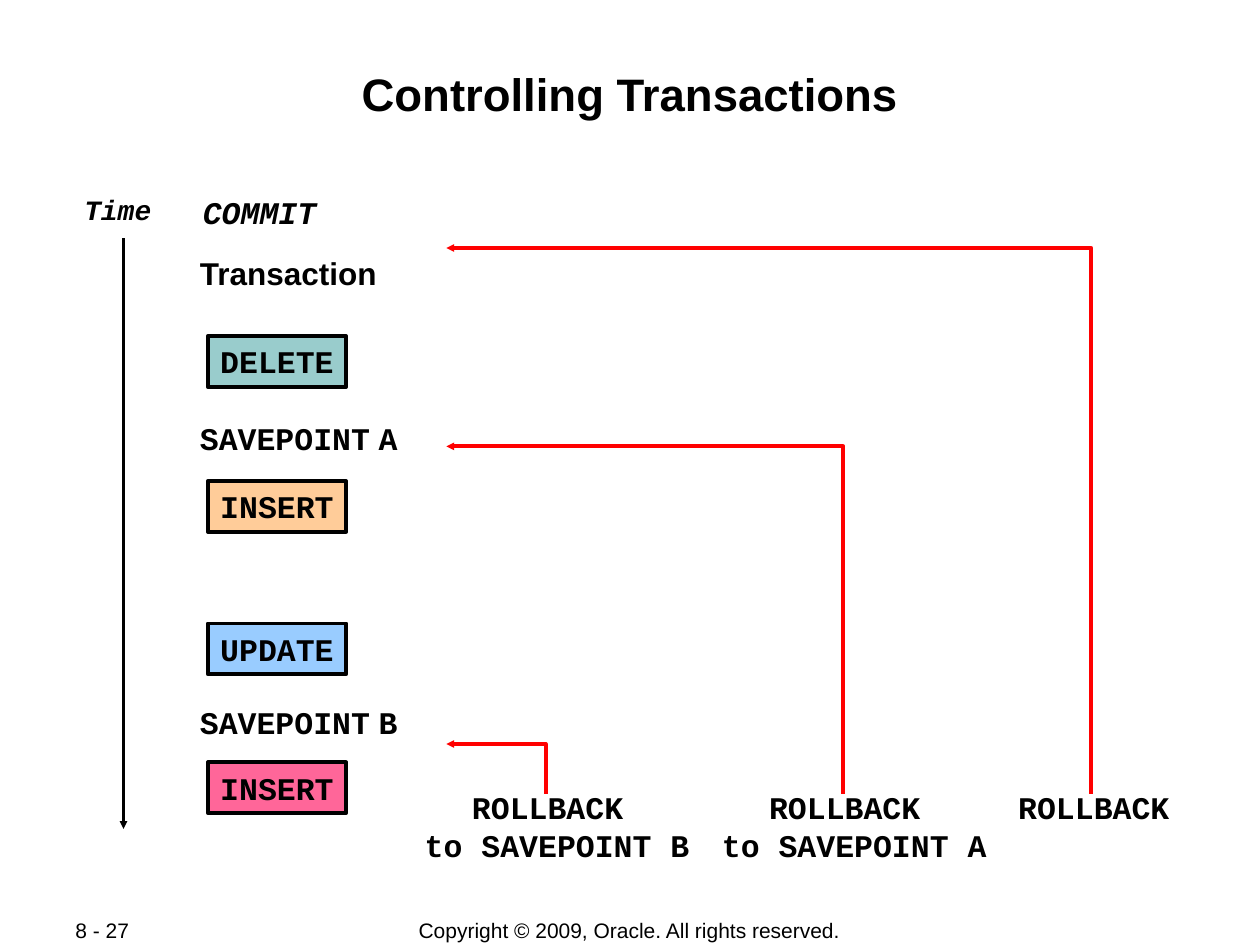
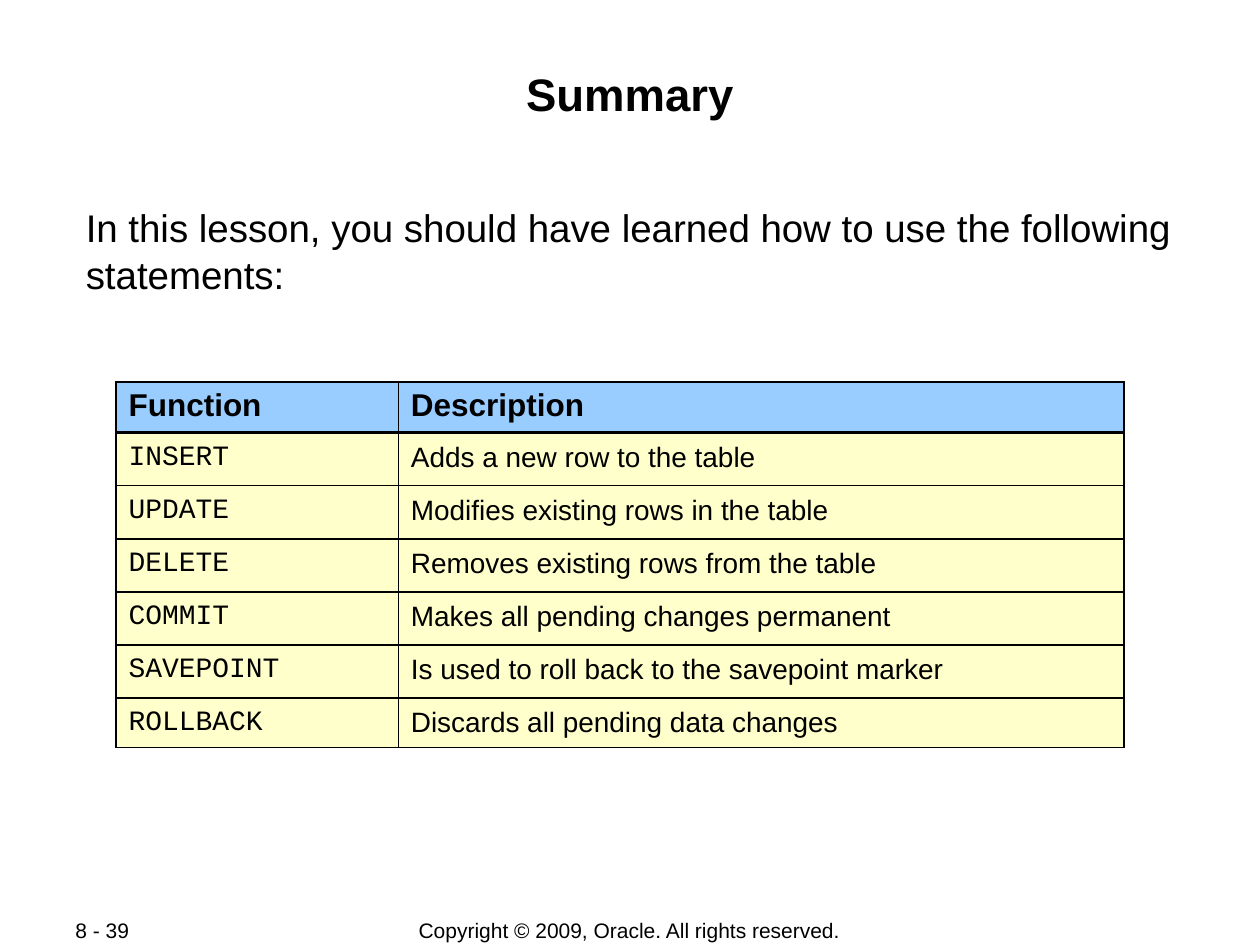
from dataclasses import dataclass

from pptx import Presentation
from pptx.dml.color import RGBColor
from pptx.enum.shapes import MSO_CONNECTOR, MSO_SHAPE
from pptx.enum.text import MSO_ANCHOR, PP_ALIGN
from pptx.oxml import parse_xml
from pptx.oxml.ns import nsdecls, qn
from pptx.util import Cm, Pt

LEFT, CENTER = PP_ALIGN.LEFT, PP_ALIGN.CENTER
TOP, MIDDLE = MSO_ANCHOR.TOP, MSO_ANCHOR.MIDDLE
RECTANGLE, STRAIGHT = MSO_SHAPE.RECTANGLE, MSO_CONNECTOR.STRAIGHT


@dataclass(frozen=True)
class Theme:
    sans: str = "Arial"
    mono: str = "Courier New"
    ink: str = "000000"
    rollback: str = "FF0000"
    teal: str = "99CCCC"
    orange: str = "FFCC99"
    blue: str = "99CCFF"
    pink: str = "FF6699"
    cream: str = "FFFFCC"
    title_size: int = 26
    body_size: int = 22
    label_size: int = 18
    small_size: int = 16
    footer_size: int = 12
    line_width: float = 2.25
    grid_width: float = 1.08


theme = Theme()


def style_runs(frame, size, font, bold=False, italic=False, align=LEFT):
    for para in frame.paragraphs:
        para.alignment = align
        for span in para.runs:
            span.font.name = font
            span.font.size = Pt(size)
            span.font.bold = bold
            span.font.italic = italic
            span.font.color.rgb = RGBColor.from_string(theme.ink)


def add_text(page, words, left, top, width, height, size, font,
             fill=None, wrap=True, anchor=TOP, **style):
    area = Cm(left), Cm(top), Cm(width), Cm(height)
    if fill:
        box = page.shapes.add_shape(RECTANGLE, *area)
        box.shadow.inherit = False
        box.fill.solid()
        box.fill.fore_color.rgb = RGBColor.from_string(fill)
        box.line.color.rgb = RGBColor.from_string(theme.ink)
        box.line.width = Pt(theme.line_width)
    else:
        box = page.shapes.add_textbox(*area)
    frame = box.text_frame
    frame.text = words
    frame.word_wrap = wrap
    frame.vertical_anchor = anchor
    style_runs(frame, size, font, **style)
    return box


deck = Presentation()
deck.slide_width, deck.slide_height = Cm(25.4), Cm(19.05)

# Shared title and footer
pages = []
for title, number in [("Controlling Transactions", "8 - 27"), ("Summary", "8 - 39")]:
    page = deck.slides.add_slide(deck.slide_layouts[6])
    pages.append(page)
    add_text(page, "Copyright © 2009, Oracle. All rights reserved.", 6.99, 18.49, 11.4, 0.53,
             theme.footer_size, theme.sans, anchor=MIDDLE, align=CENTER)
    add_text(page, number, 1.27, 18.49, 2.69, 0.51,
             theme.footer_size, theme.sans, anchor=MIDDLE)
    heading = add_text(page, title, 1.7, 1.22, 22, 2.44,
                       theme.title_size, theme.sans, bold=True, align=CENTER)
    heading.text_frame.margin_top = Cm(0.11)
flow_page, summary_page = pages

# Time axis and the start of the transaction
add_text(flow_page, "Time", 1.45, 3.76, 2.03, 0.94,
         theme.small_size, theme.mono, bold=True, italic=True)
add_text(flow_page, "COMMIT", 3.84, 3.76, 3.61, 1.02,
         theme.label_size, theme.mono, bold=True, italic=True)
add_text(flow_page, "Transaction", 3.78, 5, 4.11, 1.02,
         theme.label_size, theme.sans, wrap=False, bold=True)
time_axis = flow_page.shapes.add_connector(STRAIGHT, Cm(2.49), Cm(4.8), Cm(2.49), Cm(16.71))
arrows = [(time_axis, theme.ink)]

# Savepoints, with a narrow space before the letter
for letter, top in [("A", 8.33), ("B", 14.05)]:
    box = add_text(flow_page, "SAVEPOINT", 3.78, top, 5.69, 1.02,
                   theme.label_size, theme.mono, bold=True)
    para = box.text_frame.paragraphs[0]
    for part in (" ", letter):
        para.add_run().text = part
    style_runs(box.text_frame, theme.label_size, theme.mono, bold=True)
    para.runs[1].font.name = theme.sans

# Statements
for statement, top, fill in [
    ("DELETE", 6.78, theme.teal),
    ("INSERT", 9.7, theme.orange),
    ("UPDATE", 12.57, theme.blue),
    ("INSERT", 15.37, theme.pink),
]:
    add_text(flow_page, statement, 4.19, top, 2.79, 1.02, theme.label_size, theme.mono,
             fill=fill, wrap=False, bold=True)

# Rollbacks: label, then the route up and back to its target
target_x = 8.66
for words, left, width, height, route_x, route_bottom, target_y in [
    ("ROLLBACK \nto SAVEPOINT B", 8.31, 5.84, 1.78, 11, 15.85, 14.53),
    ("ROLLBACK \nto SAVEPOINT A", 14.3, 5.84, 1.78, 16.99, 15.8, 8.84),
    ("ROLLBACK", 20.27, 3.56, 1.02, 21.95, 15.93, 5.49),
]:
    add_text(flow_page, words, left, 15.77, width, height, theme.label_size, theme.mono,
             wrap=False, bold=True, align=CENTER)
    builder = flow_page.shapes.build_freeform(route_x, route_bottom, scale=Cm(1))
    builder.add_line_segments([(route_x, target_y), (target_x, target_y)], close=False)
    route = builder.convert_to_shape()
    route.fill.background()
    arrows.append((route, theme.rollback))

# Line style and arrowheads
for arrow, color in arrows:
    arrow.line.color.rgb = RGBColor.from_string(color)
    arrow.line.width = Pt(theme.line_width)
    properties = arrow._element.spPr
    properties.find(qn("a:ln")).append(
        parse_xml(f'<a:tailEnd {nsdecls("a")} type="triangle" w="sm" len="sm"/>'))
    properties.append(parse_xml(f'<a:effectLst {nsdecls("a")}/>'))

# Summary sentence
intro = add_text(
    summary_page,
    "In this lesson, you should have learned how to use the following statements:",
    1.7, 4.01, 22, 1.93, theme.body_size, theme.sans)
intro.text_frame.margin_left = intro.text_frame.margin_right = Cm(0.03)
intro.text_frame.margin_top = Cm(0.11)

# Statement table
rows = [
    ("Function", "Description"),
    ("INSERT", "Adds a new row to the table"),
    ("UPDATE", "Modifies existing rows in the table"),
    ("DELETE", "Removes existing rows from the table"),
    ("COMMIT", "Makes all pending changes permanent"),
    ("SAVEPOINT", "Is used to roll back to the savepoint marker"),
    ("ROLLBACK", "Discards all pending data changes"),
]
row_heights = [1.02] + [1.07] * 5 + [0.99]
column_widths = [5.69, 14.63]
table = summary_page.shapes.add_table(
    len(rows), len(column_widths), Cm(2.34), Cm(7.7),
    Cm(sum(column_widths)), Cm(sum(row_heights))).table
for column, width in zip(table.columns, column_widths):
    column.width = Cm(width)

for row_index, (row, height) in enumerate(zip(rows, row_heights)):
    table.rows[row_index].height = Cm(height)
    is_header = row_index == 0
    for column_index, words in enumerate(row):
        cell = table.cell(row_index, column_index)
        cell.text = words
        if is_header:
            style_runs(cell.text_frame, theme.label_size, theme.sans, bold=True)
        else:
            font = theme.sans if column_index else theme.mono
            style_runs(cell.text_frame, theme.small_size, font)
            cell.text_frame.paragraphs[0].line_spacing = 1.1

        # Thin grid with a thick rule under the header
        thick_side = {0: "lnB", 1: "lnT"}.get(row_index)
        cell_properties = cell._tc.get_or_add_tcPr()
        for side in ("lnL", "lnR", "lnT", "lnB"):
            width = theme.line_width if side == thick_side else theme.grid_width
            cell_properties.append(parse_xml(
                f'<a:{side} {nsdecls("a")} w="{Pt(width)}"><a:solidFill>'
                f'<a:srgbClr val="{theme.ink}"/></a:solidFill></a:{side}>'))
        cell.fill.solid()
        cell.fill.fore_color.rgb = RGBColor.from_string(theme.blue if is_header else theme.cream)

deck.save("out.pptx")
